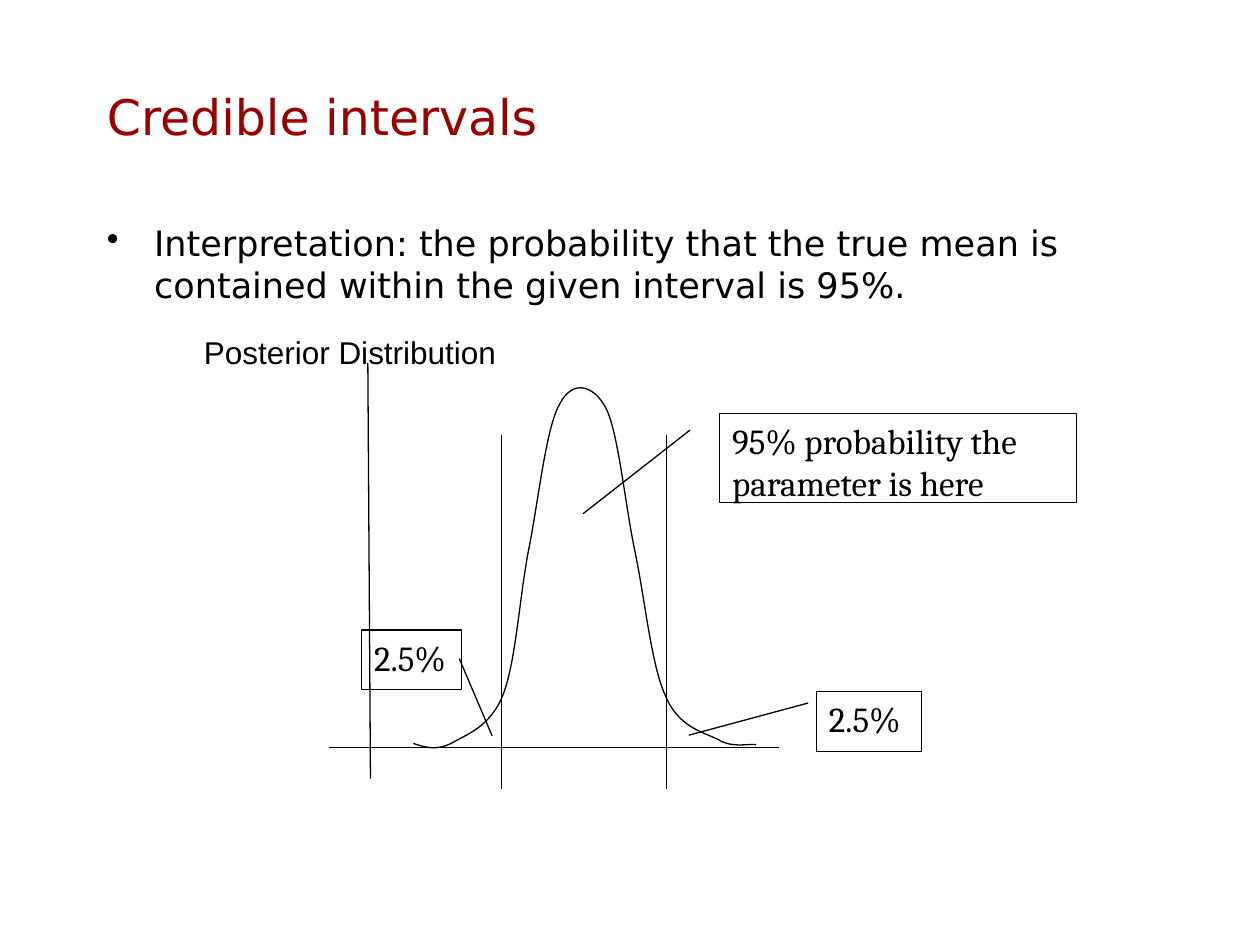
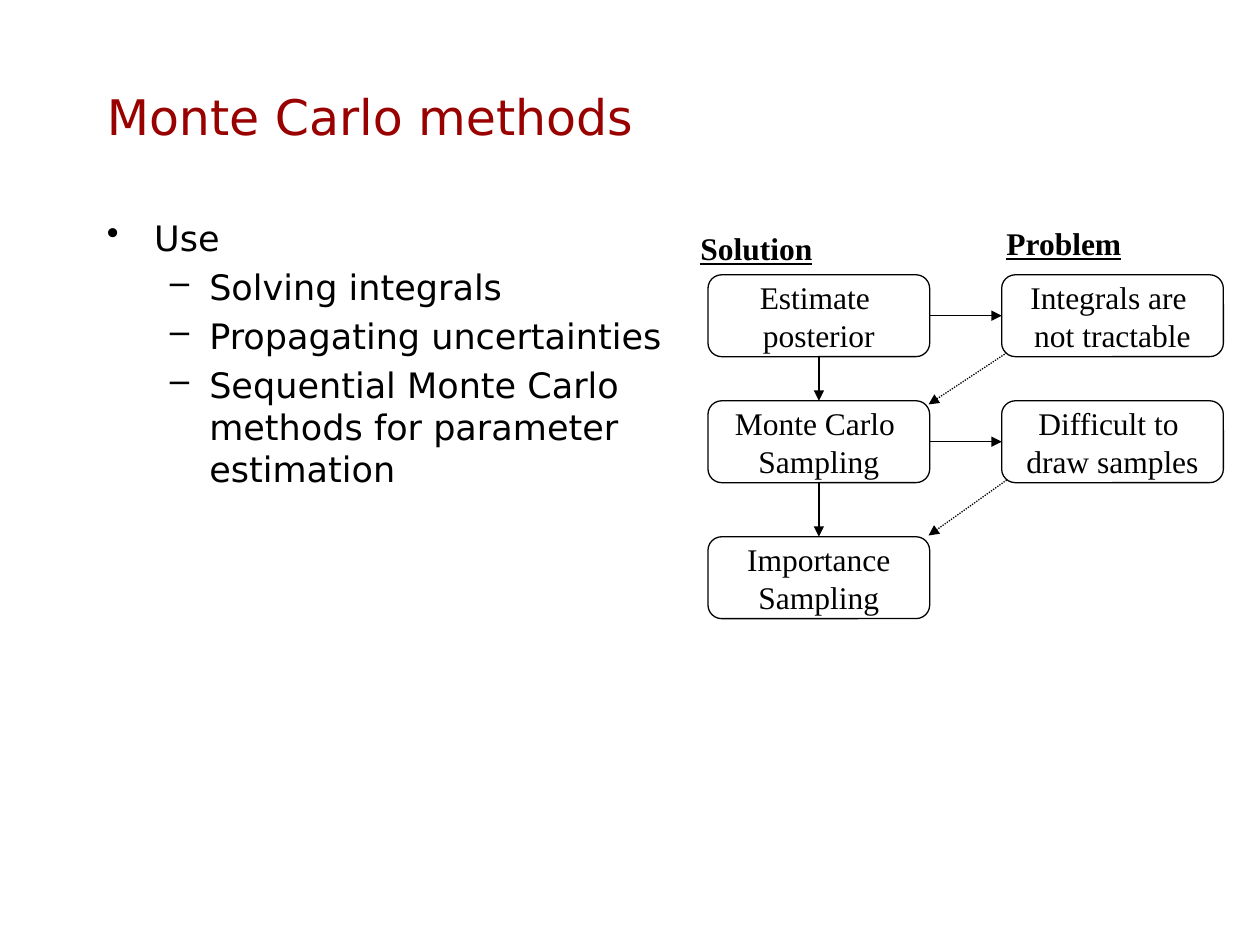
from itertools import pairwise

from lxml.etree import SubElement
from pptx import Presentation
from pptx.dml.color import RGBColor
from pptx.enum.dml import MSO_LINE
from pptx.enum.shapes import MSO_CONNECTOR, MSO_SHAPE
from pptx.enum.text import MSO_ANCHOR as Anchor, PP_ALIGN as Align
from pptx.oxml.ns import qn
from pptx.util import Pt

BLACK = RGBColor(0x00, 0x00, 0x00)
TITLE_RED = RGBColor(0x99, 0x00, 0x00)
HEADING_FONT = "DejaVu Sans"
CALLOUT_FONT = "Cambria"
FLOW_FONT = "Times New Roman"
LINE_WIDTH = Pt(0.75)
TOP, LEFT, BOTTOM, RIGHT = range(4)

# Bullet character, left margin and hanging indent by outline level
BULLETS = [("•", 27, 27), ("–", 58.5, 22.5)]

# Start of the density curve, then two control points and an end per segment
DENSITY_START = (236.2, 424.8)
DENSITY_SEGMENTS = [
    [(242.6, 427), (249.1, 429.1), (257.8, 424.8)],
    [(266.4, 419.8), (280.1, 415.4), (287.3, 397.4)],
    [(294.5, 379.4), (296.6, 344.2), (301.7, 316.1)],
    [(307.4, 288.7), (311.8, 244.8), (319.7, 231.1)],
    [(326.9, 216.7), (339.1, 219.6), (346.3, 233.3)],
    [(353.5, 247.7), (357.1, 288), (362.9, 315.4)],
    [(368.6, 342.7), (372.2, 380.2), (380.2, 397.4)],
    [(387.4, 415.4), (401.8, 418.3), (410.4, 422.6)],
    [(418.3, 427.7), (427.7, 424.8), (432, 425.5)],
]

FLOW_COLUMNS = {"solution": 404.6, "problem": 572.4}
FLOW_ROWS = [157, 229, 306.7]
FLOW_BOX = (126.7, 46.8)


def points(*lengths):
    return [Pt(length) for length in lengths]


def write_text(shape, lines, *, font, size, color=BLACK, bold=False,
               underline=False, align=Align.LEFT, anchor=Anchor.TOP, wrap=True):
    frame = shape.text_frame
    frame.word_wrap = wrap
    frame.vertical_anchor = anchor
    for index, line in enumerate(lines):
        paragraph = frame.add_paragraph() if index else frame.paragraphs[0]
        paragraph.alignment = align
        run = paragraph.add_run()
        run.text = line
        run.font.name = font
        run.font.size = Pt(size)
        run.font.color.rgb = color
        run.font.bold = bold
        run.font.underline = underline
    return frame


def add_label(slide, text, box, **text_format):
    label = slide.shapes.add_textbox(*points(*box))
    write_text(label, [text], **text_format)


def add_title(slide, text):
    add_label(slide, text, (54, 30.2, 516.2, 72), font=HEADING_FONT, size=28,
              color=TITLE_RED, anchor=Anchor.MIDDLE)


def add_bullets(slide, items, box):
    """Add a bulleted list from (level, text) pairs."""
    body = slide.shapes.add_textbox(*points(*box))
    frame = write_text(body, [text for _, text in items],
                       font=HEADING_FONT, size=20)
    for paragraph, (level, _) in zip(frame.paragraphs, items):
        mark, margin, hanging = BULLETS[level]
        paragraph.level = level
        paragraph.space_before = Pt(4)
        properties = paragraph._p.get_or_add_pPr()
        properties.set("marL", str(Pt(margin)))
        properties.set("indent", str(-Pt(hanging)))
        SubElement(properties, qn("a:buChar"), char=mark)


def outline(shape):
    shape.shadow.inherit = False
    shape.fill.background()
    shape.line.color.rgb = BLACK
    shape.line.width = LINE_WIDTH


def add_line(slide, start=(0, 0), end=(0, 0), arrow=False, dotted=False):
    connector = slide.shapes.add_connector(
        MSO_CONNECTOR.STRAIGHT, *points(*start, *end))
    line = connector.line
    line.color.rgb = BLACK
    line.width = LINE_WIDTH
    if dotted:
        line.dash_style = MSO_LINE.ROUND_DOT
    if arrow:
        SubElement(line._get_or_add_ln(), qn("a:tailEnd"), type="triangle")
    SubElement(connector._element.spPr, qn("a:effectLst"))
    return connector


def join_boxes(slide, source, source_side, target, target_side):
    arrow = add_line(slide, arrow=True)
    arrow.begin_connect(source, source_side)
    arrow.end_connect(target, target_side)


def add_curve(slide, start, segments):
    """Draw a freeform through cubic segments of three points each."""
    builder = slide.shapes.build_freeform(*points(*start))
    builder.add_line_segments(
        [points(*point) for segment in segments for point in segment],
        close=False)
    curve = builder.convert_to_shape()
    outline(curve)
    straight = list(curve._element.iter(qn("a:lnTo")))
    outline_path = straight[0].getparent()
    for first in range(0, len(straight), 3):
        bezier = SubElement(outline_path, qn("a:cubicBezTo"))
        for step in straight[first:first + 3]:
            bezier.append(step[0])
            outline_path.remove(step)


def add_callout(slide, text, box, pointer=()):
    """Add a bordered callout; pointer is y, x of its start and of its end."""
    callout = slide.shapes.add_shape(MSO_SHAPE.LINE_CALLOUT_1, *points(*box))
    outline(callout)
    for index, value in enumerate(pointer):
        callout.adjustments[index] = value
    write_text(callout, [text], font=CALLOUT_FONT, size=20)


def add_flow_box(slide, column, row, lines):
    box = slide.shapes.add_shape(
        MSO_SHAPE.ROUNDED_RECTANGLE,
        *points(FLOW_COLUMNS[column], FLOW_ROWS[row], *FLOW_BOX))
    outline(box)
    write_text(box, lines, font=FLOW_FONT, size=18, align=Align.CENTER,
               anchor=Anchor.MIDDLE, wrap=False)
    return box


def build_credible_intervals(slide):
    add_title(slide, "Credible intervals")
    add_bullets(slide, [(0, "Interpretation: the probability that the true mean "
                            "is contained within the given interval is 95%.")],
                (54, 123.1, 612, 306))
    add_line(slide, (210.2, 207.4), (211.7, 445))
    add_line(slide, (187.9, 427), (445, 427))
    add_curve(slide, DENSITY_START, DENSITY_SEGMENTS)
    for bound in (286.4, 380.9):
        add_line(slide, (bound, 248.4), (bound, 450.7))
    add_callout(slide, "95% probability the parameter is here",
                (411.3, 236.2, 203.8, 51))
    add_callout(slide, "2.5%", (206.7, 360, 56.9, 34),
                (0.48, 0.98, 1.78, 1.31))
    add_label(slide, "Posterior Distribution", (109.4, 186.5, 187.9, 28.8),
              font="Arial", size=18, wrap=False)
    add_callout(slide, "2.5%", (466.6, 395.3, 59.8, 34),
                (0.19, -0.08, 0.73, -1.22))


def build_monte_carlo(slide):
    add_title(slide, "Monte Carlo methods")
    add_bullets(slide, [
        (0, "Use"),
        (1, "Solving integrals"),
        (1, "Propagating uncertainties"),
        (1, "Sequential Monte Carlo methods for parameter estimation"),
    ], (54, 120.2, 339.8, 306))

    for heading, box in [("Solution", (393.1, 127.4, 78.5, 28.8)),
                         ("Problem", (568, 124.6, 80.6, 28.8))]:
        add_label(slide, heading, box, font=FLOW_FONT, size=18, bold=True,
                  underline=True, wrap=False)

    solutions = [add_flow_box(slide, "solution", row, lines)
                 for row, lines in enumerate([("Estimate ", "posterior"),
                                              ("Monte Carlo ", "Sampling"),
                                              ("Importance", "Sampling")])]
    problems = [add_flow_box(slide, "problem", row, lines)
                for row, lines in enumerate([("Integrals are ", "not tractable"),
                                             ("Difficult to ", "draw samples")])]
    for solution, problem in zip(solutions, problems):
        join_boxes(slide, solution, RIGHT, problem, LEFT)
    for solution, refinement in pairwise(solutions):
        join_boxes(slide, solution, BOTTOM, refinement, TOP)
    for start_y, end_y in [(201.6, 231.1), (274.3, 306)]:
        add_line(slide, (575.3, start_y), (530.6, end_y),
                 arrow=True, dotted=True)


def main():
    deck = Presentation()
    deck.slide_width, deck.slide_height = points(720, 540)
    blank = deck.slide_layouts[6]
    for build in (build_credible_intervals, build_monte_carlo):
        build(deck.slides.add_slide(blank))
    deck.save("out.pptx")


if __name__ == "__main__":
    main()
